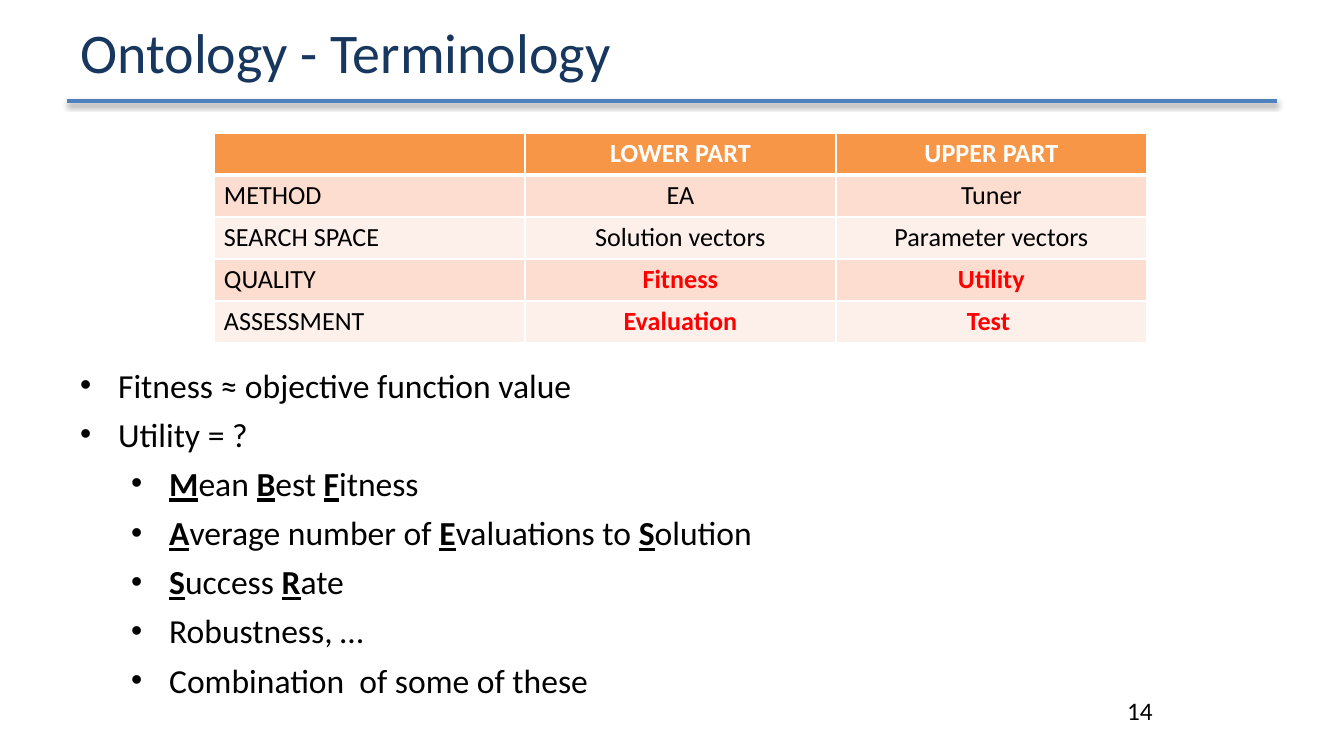
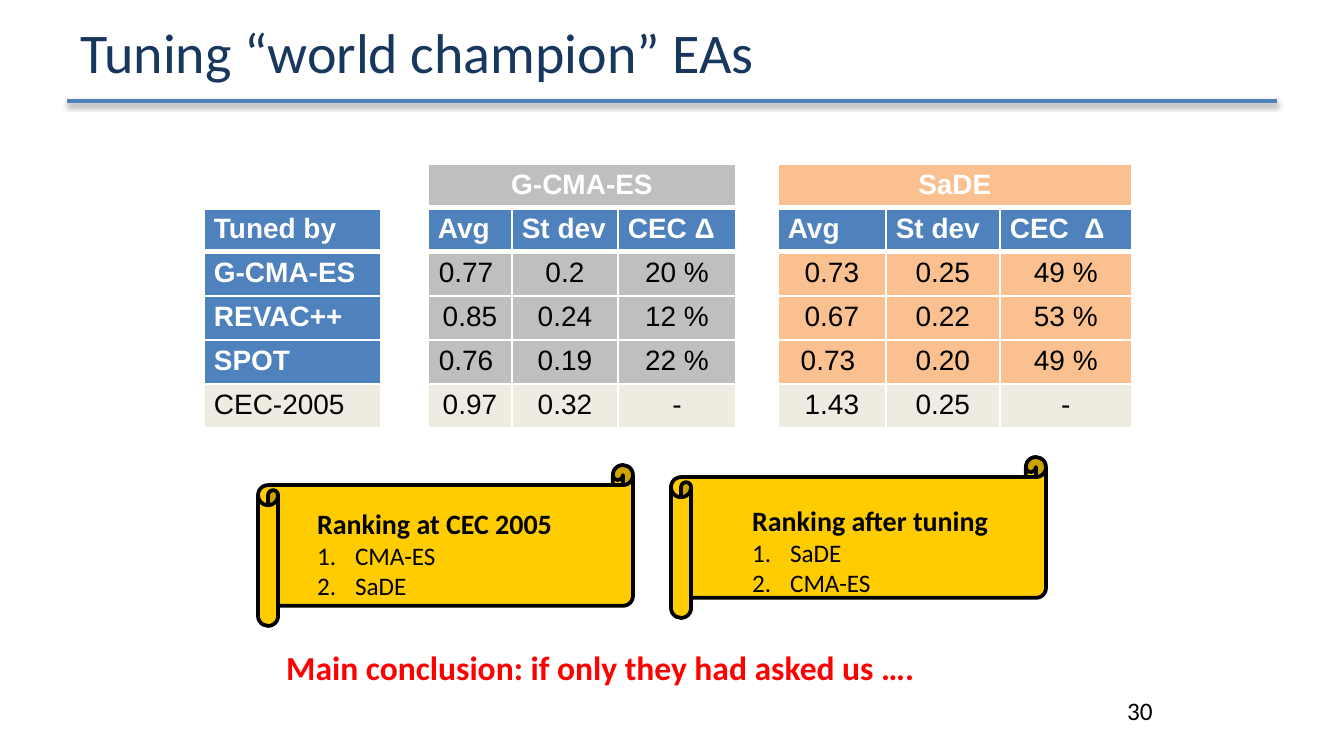
"""Builds two lecture slides on tuning evolutionary algorithms."""
from lxml.etree import SubElement as Sub
from pptx import Presentation
from pptx.dml.color import RGBColor as Rgb
from pptx.enum.shapes import MSO_CONNECTOR as Conn, MSO_SHAPE as Kind
from pptx.enum.text import MSO_ANCHOR as Anchor, MSO_AUTO_SIZE as Fit, PP_ALIGN as Align
from pptx.oxml.ns import qn
from pptx.util import Pt

SCALE = 914400 / 134.4
HUES = {
    "navy": "17375E", "blue": "4F81BD", "white": "FFFFFF", "black": "000000",
    "red": "FF0000", "orange": "F79646", "rose": "FCDDCF", "blush": "FDEFE9",
    "grey": "BFBFBF", "peach": "FAC090", "cream": "EEECE1", "gold": "FFCC00",
}


def px(num):
    return round(num * SCALE)


def hue(name):
    return Rgb.from_string(HUES[name])


class Deck:
    def __init__(self, wide, high):
        self.show = Presentation()
        self.show.slide_width, self.show.slide_height = px(wide), px(high)
        self.page = None

    def style(self, par, size, color="black", bold=False, font="Calibri"):
        if not par.runs:
            Sub(par._p, qn("a:endParaRPr"), sz=str(int(size * 100)))
        for run in par.runs:
            run.font.size, run.font.name = Pt(size), font
            run.font.bold, run.font.color.rgb = bold, hue(color)

    def start(self, title, num):
        self.page = self.show.slides.add_slide(self.show.slide_layouts[5])
        self.rule(67, 1277, 101)
        head = self.page.shapes.title
        head.left, head.top, head.width, head.height = map(px, (67, 3, 1210, 97))
        frame = head.text_frame
        frame.text = title
        frame.auto_size, frame.vertical_anchor = Fit.NONE, Anchor.MIDDLE
        frame.margin_top = frame.margin_bottom = 0
        frame.paragraphs[0].alignment = Align.LEFT
        self.style(frame.paragraphs[0], 30, "navy")
        self.text((1114, 689, 62, 55), num, 13.5)

    def rule(self, left, right, top):
        line = self.page.shapes.add_connector(
            Conn.STRAIGHT, px(left), px(top), px(right), px(top))
        line.line.color.rgb, line.line.width = hue("blue"), Pt(2)
        fx = Sub(line._element.spPr, qn("a:effectLst"))
        cast = Sub(fx, qn("a:outerShdw"), blurRad="40000", dist="20000",
                   dir="5400000", rotWithShape="0")
        dark = Sub(cast, qn("a:srgbClr"), val=HUES["black"])
        Sub(dark, qn("a:alpha"), val="38000")

    def text(self, box, words, size, color="black", bold=False):
        frame = self.page.shapes.add_textbox(*map(px, box)).text_frame
        frame.word_wrap = True
        frame.text = words
        self.style(frame.paragraphs[0], size, color, bold)
        return frame

    def indent(self, par, left):
        prop = par._p.get_or_add_pPr()
        prop.set("marL", str(px(left)))
        prop.set("indent", str(-px(38)))
        return prop

    def points(self, box, items):
        frame = self.text(box, "", 18)
        for i, (deep, words) in enumerate(items):
            par = frame.add_paragraph() if i else frame.paragraphs[0]
            par.level, par.line_spacing, par.space_before = deep, 0.8, Pt(9)
            prop = self.indent(par, 89 if deep else 38)
            Sub(prop, qn("a:buSzPct"), val="95000")
            Sub(prop, qn("a:buFont"), typeface="Arial")
            Sub(prop, qn("a:buChar"), char="•")
            parts = words.split("*")
            for part in parts:
                par.add_run().text = part
            self.style(par, 18)
            for run in par.runs[1::2]:
                run.font.bold = run.font.underline = True
            for run in par.runs:
                if not run.text:
                    par._p.remove(run._r)

    def scroll(self, box, spot, head, names):
        roll = self.page.shapes.add_shape(Kind.HORIZONTAL_SCROLL, *map(px, box))
        roll.shadow.inherit = False
        roll.fill.solid()
        roll.fill.fore_color.rgb = hue("gold")
        roll.line.color.rgb, roll.line.width = hue("black"), Pt(2)
        frame = self.text(spot, head, 15, bold=True)
        for name in names:
            par = frame.add_paragraph()
            par.text = name
            self.style(par, 13.5)
            Sub(self.indent(par, 38), qn("a:buAutoNum"), type="arabicPeriod")

    def edge(self, cell, top, low):
        prop = cell._tc.get_or_add_tcPr()
        for i, (side, wide) in enumerate(zip("LRTB", (1, 1, top, low))):
            line = Sub(prop, qn("a:ln" + side), w=str(Pt(wide)))
            fill = Sub(line, qn("a:solidFill"))
            Sub(fill, qn("a:srgbClr"), val=HUES["white"])
            prop.insert(i, line)

    def grid(self, spot, cols, high, rows, look, size, font="Calibri", heads=1):
        dims = (*spot, sum(cols), high * len(rows))
        table = self.page.shapes.add_table(
            len(rows), len(cols), *map(px, dims)).table
        table.first_row = table.horz_banding = False
        for col, wide in zip(table.columns, cols):
            col.width = px(wide)
        for r, row in enumerate(rows):
            table.rows[r].height = px(high)
            for c, words in enumerate(row):
                cell = table.cell(r, c)
                fill, color, bold, align = look(r, c)
                cell.margin_left = cell.margin_right = px(10)
                cell.margin_top = cell.margin_bottom = px(5)
                cell.fill.solid()
                cell.fill.fore_color.rgb = hue(fill)
                self.edge(cell, 3 if 0 < r <= heads else 1, 3 if r < heads else 1)
                cell.text_frame.text = words
                par = cell.text_frame.paragraphs[0]
                par.alignment = align
                self.style(par, size, color, bold, font)
        return table


def term(r, c):
    align = Align.CENTER if c else Align.LEFT
    if r == 0:
        return "orange", "white", True, align
    key = r > 2 and c > 0
    return ("rose" if r % 2 else "blush"), ("red" if key else "black"), key, align


def score(r, c):
    if c in (1, 5) or (r == 0 and c == 0):
        return "white", "black", False, Align.LEFT
    align = Align.CENTER if c and r != 1 else Align.LEFT
    if r == 5:
        return "cream", "black", False, align
    if r == 1 or c == 0:
        return "blue", "white", True, align
    return ("grey" if c < 5 else "peach"), ("black" if r else "white"), r == 0, align


def main():
    deck = Deck(1344, 756)

    deck.start("Ontology - Terminology", "14")
    deck.grid((214, 133), [311] * 3, 42, [
        ("", "LOWER PART", "UPPER PART"),
        ("METHOD", "EA", "Tuner"),
        ("SEARCH SPACE", "Solution vectors", "Parameter vectors"),
        ("QUALITY", "Fitness", "Utility"),
        ("ASSESSMENT", "Evaluation", "Test "),
    ], term, 14)
    deck.points((67, 366, 1210, 304), [
        (0, "Fitness ≈ objective function value"),
        (0, "Utility = ?"),
        (1, "*M*ean *B*est *F*itness"),
        (1, "*A*verage number of *E*valuations to *S*olution"),
        (1, "*S*uccess *R*ate"),
        (1, "Robustness, …"),
        (1, "Combination  of some of these"),
    ])

    deck.start("Tuning “world champion” EAs", "30")
    cols = [177, 47, 84, 106, 118, 42, 108, 114, 132]
    table = deck.grid((204, 164), cols, 44, [
        ("", "", "G-CMA-ES", "", "", "", "SaDE", "", ""),
        ("Tuned by", "", "Avg", "St dev", "CEC Δ", "", "Avg", "St dev", "CEC  Δ"),
        ("G-CMA-ES", "", "0.77 ", "0.2", "20 %", "", "0.73", "0.25", "49 %"),
        ("REVAC++", "", "0.85", "0.24", "12 %", "", "0.67", "0.22", "53 %"),
        ("SPOT", "", "0.76 ", "0.19", "22 %", "", "0.73 ", "0.20", "49 %"),
        ("CEC-2005", "", "0.97", "0.32", "-", "", "1.43", "0.25", "-"),
    ], score, 15, "Arial", heads=2)
    for c in (2, 6):
        table.cell(0, c).merge(table.cell(0, c + 2))
    deck.text((273, 640, 668, 54), "Main conclusion: if only they had asked us ….",
              18, "red", True)
    deck.scroll((258, 465, 375, 161), (304, 500, 271, 109),
                "Ranking at CEC 2005", ("CMA-ES", "SaDE"))
    deck.scroll((671, 457, 375, 161), (739, 497, 266, 109),
                "Ranking after tuning", ("SaDE", "CMA-ES"))

    deck.show.save("out.pptx")


if __name__ == "__main__":
    main()
